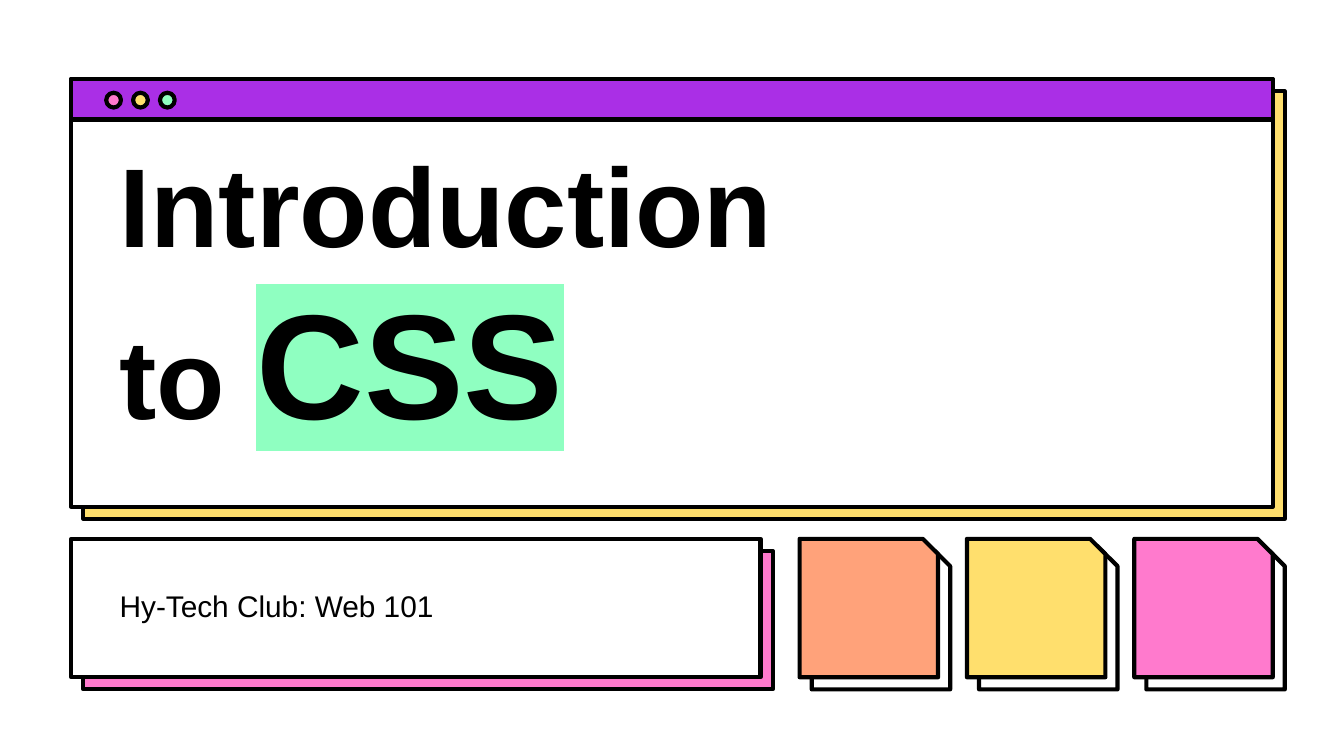
from typing import NamedTuple

from lxml.etree import SubElement
from pptx import Presentation
from pptx.dml.color import RGBColor
from pptx.enum.shapes import MSO_SHAPE as Preset
from pptx.enum.text import MSO_ANCHOR as Anchor, MSO_AUTO_SIZE as AutoSize, PP_ALIGN as Align
from pptx.oxml.ns import qn
from pptx.util import Inches, Pt

COLORS = {
    "black": "000000",
    "white": "FFFFFF",
    "purple": "AA2FE6",
    "pink": "FF7ACD",
    "yellow": "FFDF6D",
    "mint": "8FFFC1",
    "orange": "FFA27A",
}
FONT = "Arial"
SLIDE_WIDTH = 10
SLIDE_HEIGHT = SLIDE_WIDTH * 9 / 16
SHADOW_OFFSET = 0.09
LEFT, TOP, LOWER_TOP = 0.53, 0.59, 4.01
TILE_SIZE = 1.03


class Box(NamedTuple):
    left: float
    top: float
    width: float
    height: float

    def shifted(self, offset: float) -> "Box":
        return self._replace(left=self.left + offset, top=self.top + offset)


class Panel(NamedTuple):
    box: Box
    front: str
    back: str
    preset: Preset = Preset.RECTANGLE


def draw_outlined(slide, box: Box, color: str, preset: Preset = Preset.RECTANGLE) -> None:
    shape = slide.shapes.add_shape(preset, *map(Inches, box))
    shape.shadow.inherit = False
    shape.fill.solid()
    shape.fill.fore_color.rgb = RGBColor.from_string(COLORS[color])
    shape.line.color.rgb = RGBColor.from_string(COLORS["black"])
    shape.line.width = Pt(2.25)
    if preset == Preset.SNIP_1_RECTANGLE:
        shape.adjustments[0] = 0.11


def draw_panel(slide, panel: Panel) -> None:
    draw_outlined(slide, panel.box.shifted(SHADOW_OFFSET), panel.back, panel.preset)
    draw_outlined(slide, panel.box, panel.front, panel.preset)


def place_text(slide, placeholder, box: Box, anchor: Anchor):
    placeholder.left, placeholder.top, placeholder.width, placeholder.height = map(Inches, box)
    slide.shapes._spTree.append(placeholder._element)
    frame = placeholder.text_frame
    frame.word_wrap = True
    frame.auto_size = AutoSize.NONE
    frame.vertical_anchor = anchor
    frame.margin_left = frame.margin_right = Inches(0.1)
    frame.margin_top = frame.margin_bottom = Inches(0.1)
    paragraph = frame.paragraphs[0]
    paragraph.alignment = Align.LEFT
    paragraph.space_before = Pt(0)
    return paragraph


def add_text(paragraph, text: str, *, size: float, bold: bool = False,
             highlight: str | None = None) -> None:
    run = paragraph.add_run()
    run.text = text
    run.font.size = Pt(size)
    run.font.bold = bold
    run.font.name = FONT
    run.font.color.rgb = RGBColor.from_string(COLORS["black"])
    if highlight:
        properties = run.font._element
        mark = SubElement(properties, qn("a:highlight"))
        SubElement(mark, qn("a:srgbClr")).set("val", COLORS[highlight])
        properties.find(qn("a:solidFill")).addnext(mark)


def main() -> None:
    deck = Presentation()
    deck.slide_width, deck.slide_height = Inches(SLIDE_WIDTH), Inches(SLIDE_HEIGHT)
    slide = deck.slides.add_slide(deck.slide_layouts[0])

    browser = Box(LEFT, TOP, 8.94, 3.18)
    draw_panel(slide, Panel(browser, "white", "yellow"))
    draw_panel(slide, Panel(Box(LEFT, LOWER_TOP, 5.13, TILE_SIZE), "white", "pink"))
    draw_outlined(slide, browser._replace(height=0.3), "purple")
    for index, color in enumerate(("pink", "yellow", "mint")):
        button = Box(0.79 + 0.2 * index, 0.69, 0.11, 0.11)
        draw_outlined(slide, button, color, Preset.OVAL)
    tile_step = (8.44 - 5.95) / 2
    for index, color in enumerate(("orange", "yellow", "pink")):
        tile = Box(5.95 + tile_step * index, LOWER_TOP, TILE_SIZE, TILE_SIZE)
        draw_panel(slide, Panel(tile, color, "white", Preset.SNIP_1_RECTANGLE))

    heading = place_text(slide, slide.shapes.title, Box(0.79, 1.25, 8.43, 2.19), Anchor.BOTTOM)
    add_text(heading, "Introduction", size=60, bold=True)
    heading.add_line_break()
    add_text(heading, "to ", size=60, bold=True)
    add_text(heading, "CSS", size=80, bold=True, highlight="mint")

    course = place_text(slide, slide.placeholders[1], Box(0.79, 4.26, 4.54, 0.49), Anchor.MIDDLE)
    add_text(course, "Hy-Tech Club: Web 101", size=16)

    deck.save("out.pptx")


if __name__ == "__main__":
    main()
